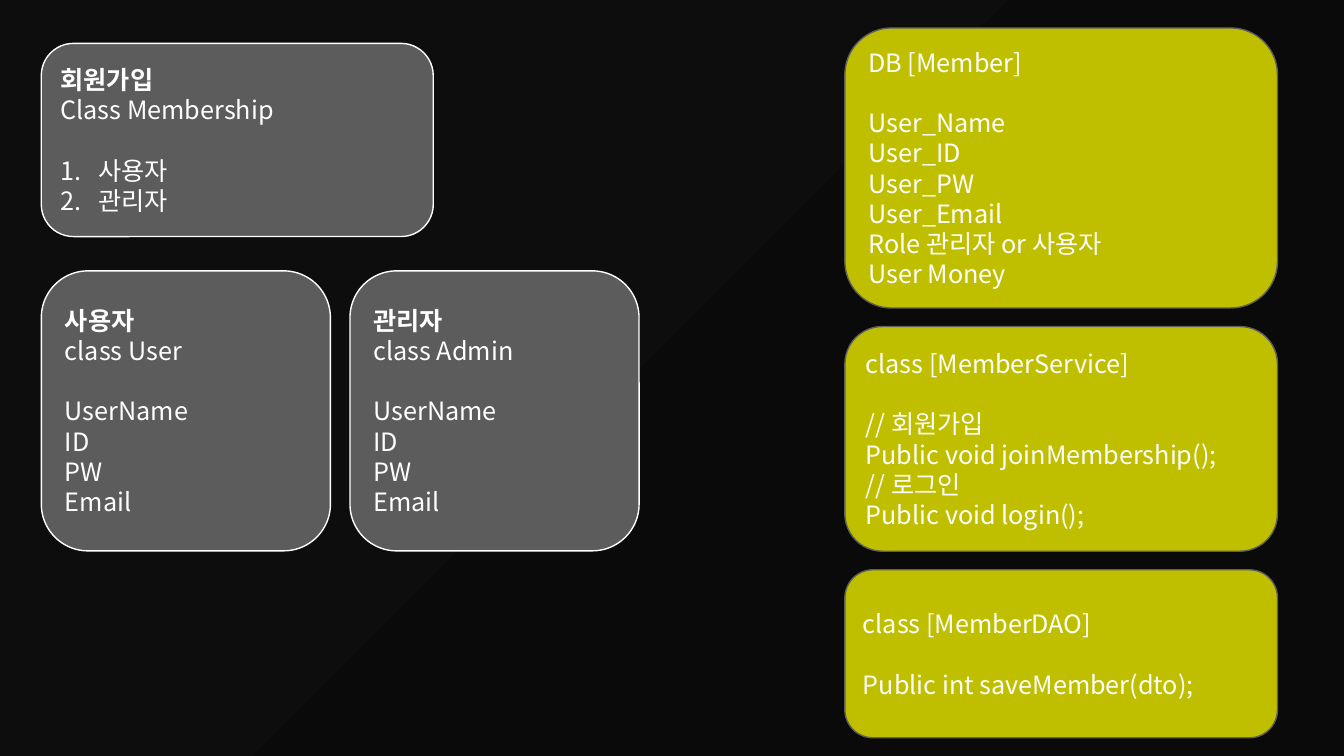
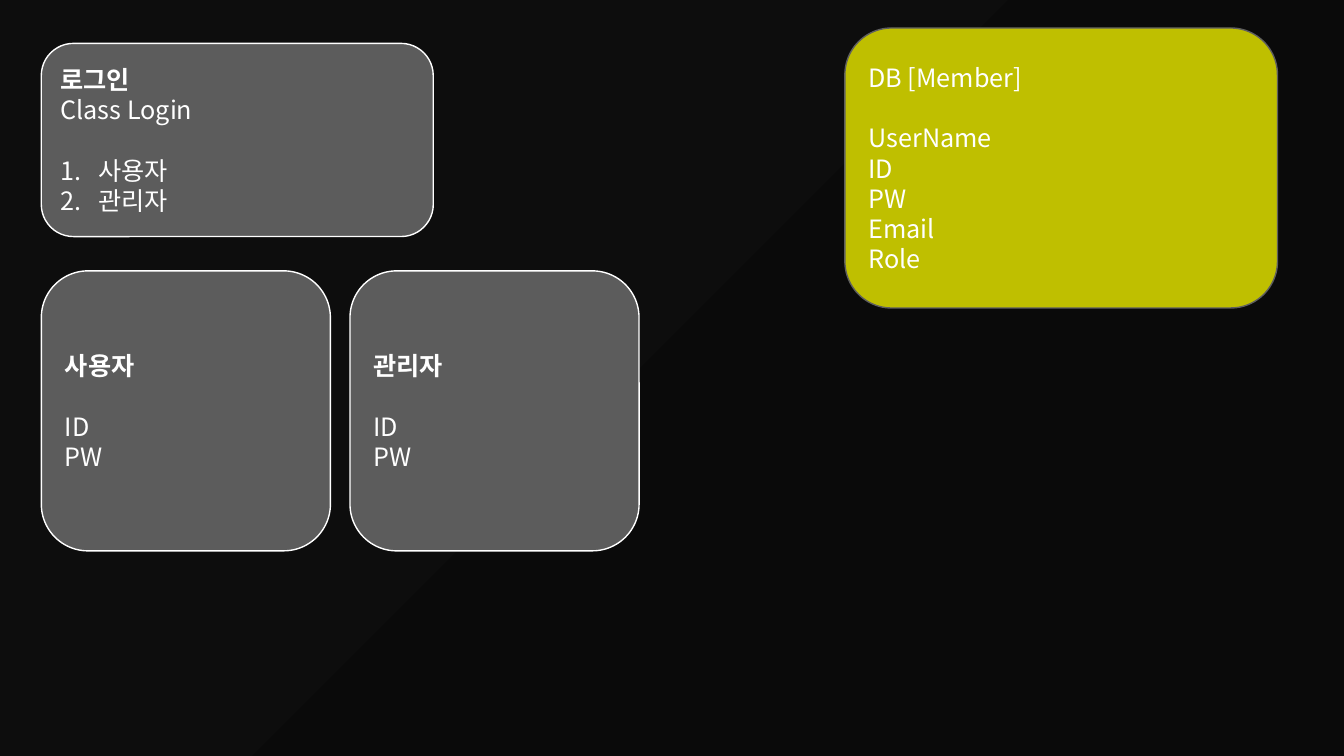
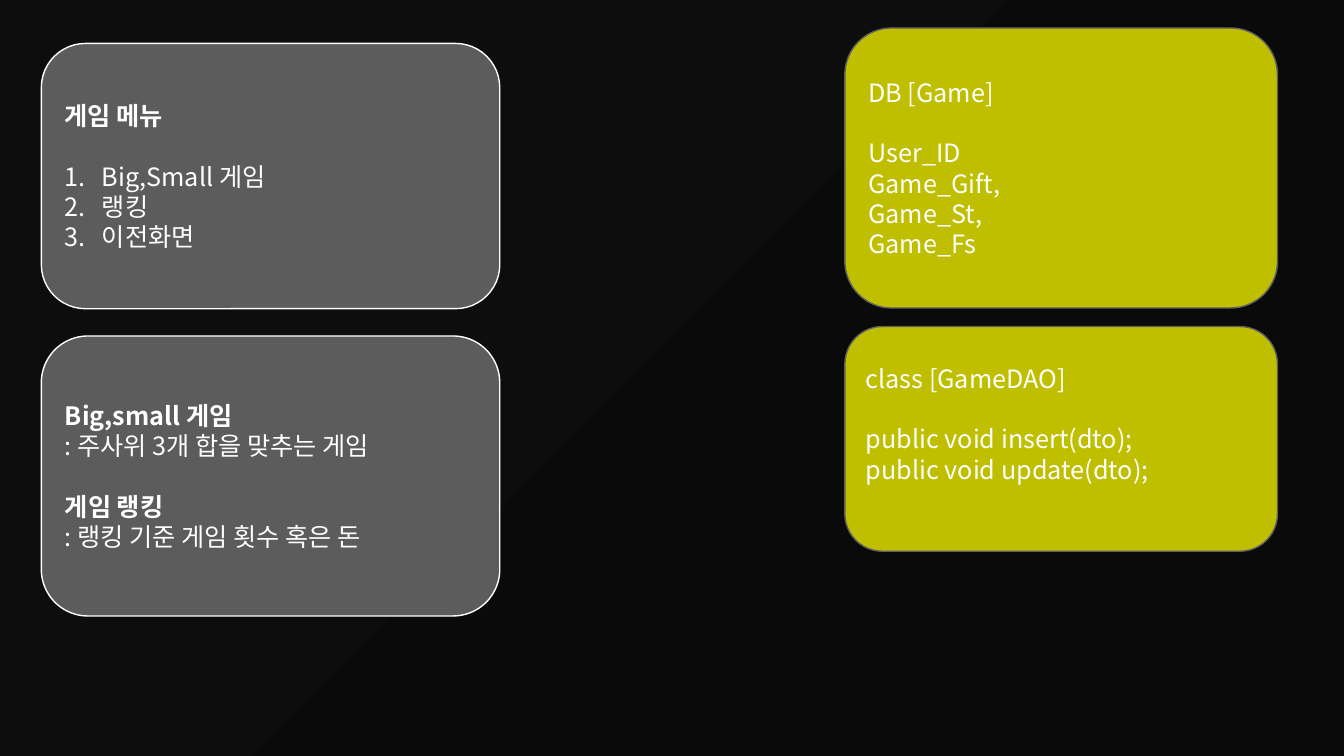
"""Build three class-design slides for a membership and game program."""
import collections

import lxml.etree
import pptx
import pptx.dml.color
import pptx.enum.shapes
import pptx.enum.text
import pptx.oxml.ns
import pptx.util

Pt = pptx.util.Pt
qn = pptx.oxml.ns.qn
Line = collections.namedtuple("Line", "text bold numbered")
CardStyle = collections.namedtuple("CardStyle", "fill outline")

COLORS = {
    "backdrop_start": "0D0D0D",
    "backdrop_end": "0A0A0A",
    "gray": "5C5C5C",
    "olive": "BFBF00",
    "edge": "5F5F5F",
    "white": "FFFFFF",
}
SCREEN = CardStyle("gray", "white")
CODE = CardStyle("olive", "edge")
FONT = "Noto Sans CJK KR"
FONT_SIZE = 18
LINE_HEIGHT = 21.6
INSET = 3.6
NUMBER_INDENT = 27

LEFT, TOP = 29.5, 31
MENU_SIZE = (280, 138)
ROLE_TOP, ROLE_SIZE, ROLE_GAP = 193.5, (206.5, 200), 14
GAME_WIDTH, GAME_MENU_HEIGHT, GAME_RULES_HEIGHT, GAME_GAP = 327.5, 189.5, 200, 19.5
CODE_LEFT, CODE_TOP, CODE_WIDTH, CODE_GAP = 603.5, 20, 309, 13.25
CODE_HEIGHTS = (200, 160.5, 120)


def color(name):
    return pptx.dml.color.RGBColor.from_string(COLORS[name])


def plain(*texts):
    return [Line(text, False, False) for text in texts]


def bold(text):
    return [Line(text, True, False)]


def numbered(*texts):
    return [Line(text, False, True) for text in texts]


def paint_backdrop(master):
    backdrop = master.background.fill
    backdrop.gradient()
    backdrop.gradient_angle = 315
    stops = zip(backdrop.gradient_stops, ("backdrop_start", "backdrop_end"), (0, 0.96))
    for stop, name, position in stops:
        stop.color.rgb = color(name)
        stop.position = position


def write_line(paragraph, line, starts_group):
    paragraph.alignment = pptx.enum.text.PP_ALIGN.LEFT
    paragraph.line_spacing = Pt(LINE_HEIGHT)
    paragraph.space_before = Pt(LINE_HEIGHT if starts_group else 0)
    if line.numbered:
        properties = paragraph._p.get_or_add_pPr()
        properties.set("marL", str(Pt(NUMBER_INDENT)))
        properties.set("indent", str(-Pt(NUMBER_INDENT)))
        lxml.etree.SubElement(properties, qn("a:buAutoNum"), type="arabicPeriod")
    run = paragraph.add_run()
    run.text = line.text
    run.font.name = FONT
    run.font.size = Pt(FONT_SIZE)
    run.font.bold = line.bold
    run.font.color.rgb = color("white")
    east_asian = lxml.etree.Element(qn("a:ea"), typeface=FONT)
    run.font._element.find(qn("a:latin")).addnext(east_asian)


def add_card(slide, style, left, top, size, groups, lift=0):
    rounded = pptx.enum.shapes.MSO_SHAPE.ROUNDED_RECTANGLE
    card = slide.shapes.add_shape(rounded, Pt(left), Pt(top), *map(Pt, size))
    card.shadow.inherit = False
    card.fill.solid()
    card.fill.fore_color.rgb = color(style.fill)
    card.line.color.rgb = color(style.outline)
    card.line.width = Pt(1)
    frame = card.text_frame
    frame.word_wrap = True
    frame.vertical_anchor = pptx.enum.text.MSO_ANCHOR.MIDDLE
    frame.margin_bottom = Pt(INSET + lift)
    paragraph = frame.paragraphs[0]
    for group_index, group in enumerate(groups):
        for line_index, line in enumerate(group):
            if group_index or line_index:
                paragraph = frame.add_paragraph()
            write_line(paragraph, line, group_index > 0 and line_index == 0)


def add_menu_card(slide, title, class_name):
    groups = [bold(title) + plain(class_name), numbered("사용자", "관리자")]
    add_card(slide, SCREEN, LEFT, TOP, MENU_SIZE, groups)


def add_role_cards(slide, headings, fields):
    for index, heading in enumerate(headings):
        left = LEFT + index * (ROLE_SIZE[0] + ROLE_GAP)
        add_card(slide, SCREEN, left, ROLE_TOP, ROLE_SIZE, [heading, plain(*fields)])


def add_code_column(slide, cards, last_lift=0):
    top = CODE_TOP
    for index, ((heading, *members), height) in enumerate(zip(cards, CODE_HEIGHTS)):
        lift = last_lift if index == len(cards) - 1 else 0
        groups = [plain(heading), plain(*members)]
        add_card(slide, CODE, CODE_LEFT, top, (CODE_WIDTH, height), groups, lift)
        top += height + CODE_GAP


def build_membership(slide):
    add_menu_card(slide, "회원가입", "Class Membership")
    headings = [bold("사용자") + plain("class User"), bold("관리자") + plain("class Admin")]
    add_role_cards(slide, headings, ["UserName", "ID", "PW", "Email"])
    add_code_column(slide, [
        ["DB [Member]", "User_Name", "User_ID", "User_PW", "User_Email",
         "Role 관리자 or 사용자", "User Money"],
        ["class [MemberService]", "// 회원가입", "Public void joinMembership();",
         "// 로그인", "Public void login();"],
        ["class [MemberDAO]", "Public int saveMember(dto);"],
    ])


def build_login(slide):
    add_menu_card(slide, "로그인", "Class Login")
    add_role_cards(slide, [bold("사용자"), bold("관리자")], ["ID", "PW"])
    add_code_column(slide, [["DB [Member]", "UserName", "ID", "PW", "Email", "Role"]])


def build_game(slide):
    menu = [bold("게임 메뉴"), numbered("Big,Small 게임", "랭킹", "이전화면")]
    add_card(slide, SCREEN, LEFT, TOP, (GAME_WIDTH, GAME_MENU_HEIGHT), menu)
    rules = [
        bold("Big,small 게임") + plain(": 주사위 3개 합을 맞추는 게임"),
        bold("게임 랭킹") + plain(": 랭킹 기준 게임 횟수 혹은 돈"),
    ]
    rules_top = TOP + GAME_MENU_HEIGHT + GAME_GAP
    add_card(slide, SCREEN, LEFT, rules_top, (GAME_WIDTH, GAME_RULES_HEIGHT), rules)
    add_code_column(slide, [
        ["DB [Game]", "User_ID", "Game_Gift,", "Game_St,", "Game_Fs"],
        ["class [GameDAO]", "public void insert(dto);", "public void update(dto);"],
    ], last_lift=LINE_HEIGHT)


def main():
    deck = pptx.Presentation()
    deck.slide_width, deck.slide_height = Pt(960), Pt(540)
    paint_backdrop(deck.slide_master)
    for build in (build_membership, build_login, build_game):
        build(deck.slides.add_slide(deck.slide_layouts[6]))
    deck.save("out.pptx")


if __name__ == "__main__":
    main()
